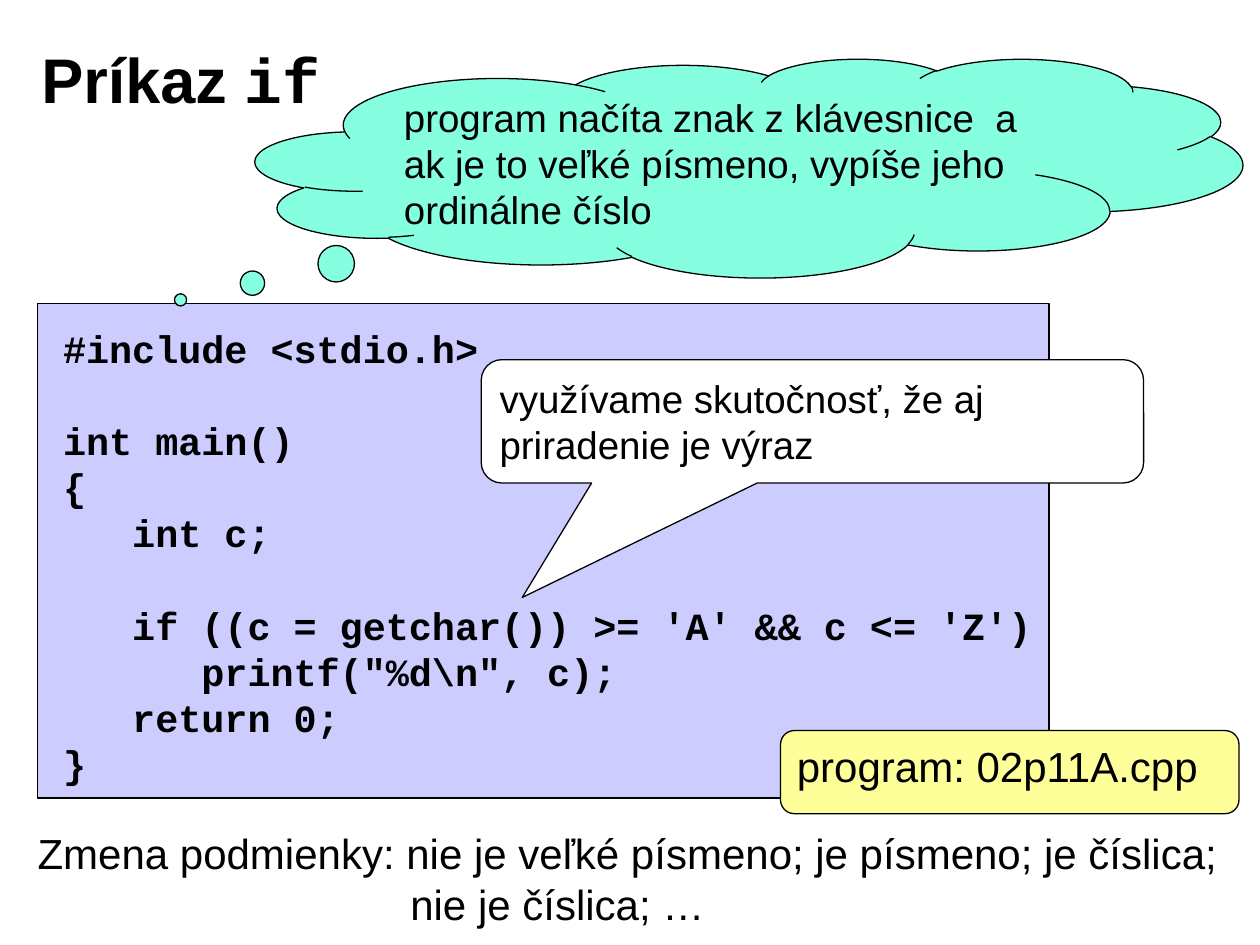
from pptx import Presentation
from pptx.dml.color import RGBColor
from pptx.enum.shapes import MSO_SHAPE
from pptx.enum.text import MSO_ANCHOR, PP_ALIGN
from pptx.util import Pt

TOP, MIDDLE = MSO_ANCHOR.TOP, MSO_ANCHOR.MIDDLE
LEFT = PP_ALIGN.LEFT
COLORS = {
    "ink": "000000",
    "code": "CCCCFF",
    "thought": "85FFE0",
    "note": "FFFFFF",
    "file": "FFFF99",
}
SANS, MONO = "Arial", "Courier New"


def write(shape, lines, size, font=SANS, bold=False, anchor=TOP):
    """Fill a shape with one paragraph per line; a line is a list of (text, font) or a string."""
    frame = shape.text_frame
    frame.word_wrap = True
    frame.vertical_anchor = anchor
    frame.margin_left = frame.margin_right = Pt(7.2)
    frame.margin_top = frame.margin_bottom = Pt(3.6)
    for number, line in enumerate(lines):
        paragraph = frame.paragraphs[0] if number == 0 else frame.add_paragraph()
        paragraph.alignment = LEFT
        paragraph.font.size = Pt(size)
        for text, face in [(line, font)] if isinstance(line, str) else line:
            if not text:
                continue
            run = paragraph.add_run()
            run.text = text
            run.font.name = face
            run.font.size = Pt(size)
            run.font.bold = bold
            run.font.color.rgb = RGBColor.from_string(COLORS["ink"])


def add_panel(kind, box, color, adjustments=()):
    panel = slide.shapes.add_shape(kind, *map(Pt, box))
    panel.shadow.inherit = False
    panel.fill.solid()
    panel.fill.fore_color.rgb = RGBColor.from_string(COLORS[color])
    panel.line.color.rgb = RGBColor.from_string(COLORS["ink"])
    panel.line.width = Pt(0.75)
    for index, value in enumerate(adjustments):
        panel.adjustments[index] = value
    return panel


prs = Presentation()
prs.slide_width, prs.slide_height = Pt(720), Pt(540)
slide = prs.slides.add_slide(prs.slide_layouts[5])

title = slide.shapes.title
title.left, title.top, title.width, title.height = Pt(16.5), Pt(11), Pt(578), Pt(67)
write(title, [[("Príkaz ", SANS), ("if", MONO)]], size=36, bold=True, anchor=MIDDLE)

add_panel(MSO_SHAPE.RECTANGLE, (21.5, 173.5, 578, 282.5), "code")
program = slide.shapes.add_textbox(Pt(29), Pt(182), Pt(575.5), Pt(273))
code = r"""#include <stdio.h>

int main()
{
   int c;

   if ((c = getchar()) >= 'A' && c <= 'Z')
      printf("%d\n", c);
   return 0;
}"""
write(program, code.split("\n"), size=22, font=MONO, bold=True)

task = add_panel(MSO_SHAPE.CLOUD_CALLOUT, (146, 33.5, 564, 125), "thought", (-0.576, 0.603))
write(
    task,
    ["program načíta znak z klávesnice  a ak je to veľké písmeno, vypíše jeho ordinálne číslo"],
    size=22,
    anchor=MIDDLE,
)

hint = add_panel(
    MSO_SHAPE.ROUNDED_RECTANGULAR_CALLOUT, (275, 205.5, 378.5, 70.5), "note", (-0.438, 1.428, 0.167)
)
write(hint, ["využívame skutočnosť, že aj priradenie je výraz"], size=22, anchor=MIDDLE)

file_label = add_panel(MSO_SHAPE.ROUNDED_RECTANGLE, (446, 417.5, 262, 47.5), "file", (0.167,))
write(file_label, ["program: 02p11A.cpp"], size=24)

variants = slide.shapes.add_textbox(Pt(14.4), Pt(469.5), Pt(702), Pt(65.5))
write(
    variants,
    ["Zmena podmienky: nie je veľké písmeno; je písmeno; je číslica;", "nie je číslica; …"],
    size=24,
)
# The second line starts under the first variant, after the lead-in words.
continuation = variants.text_frame.paragraphs[1]._p.get_or_add_pPr()
continuation.set("marL", str(Pt(213)))
continuation.set("indent", "0")

prs.save("out.pptx")
